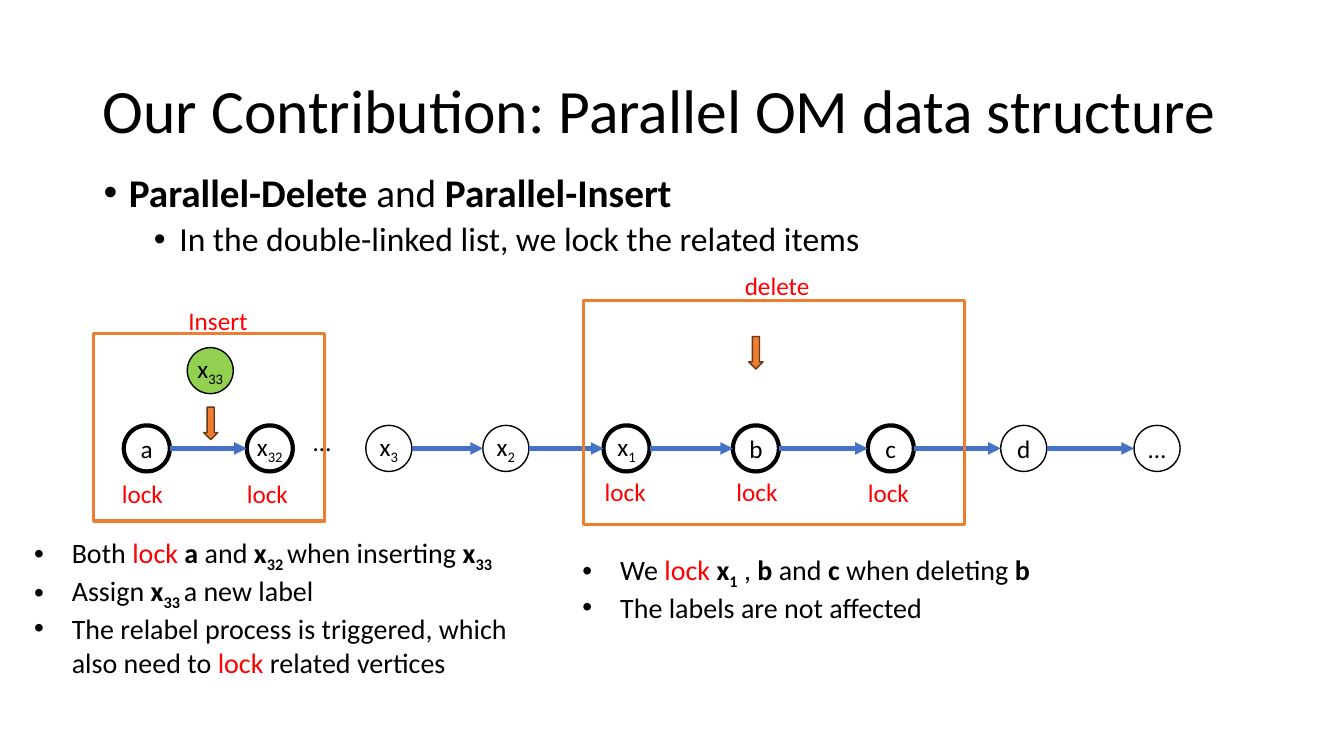
from dataclasses import dataclass
from itertools import pairwise
from typing import NamedTuple

from lxml.etree import SubElement
from pptx import Presentation
from pptx.dml.color import RGBColor as Rgb
from pptx.enum.shapes import MSO_CONNECTOR as Connector, MSO_SHAPE as Shape
from pptx.enum.text import MSO_ANCHOR as Anchor, PP_ALIGN as Align
from pptx.oxml.ns import qn
from pptx.util import Cm, Pt


@dataclass(frozen=True)
class Theme:
    """Colours, font and type sizes."""
    font: str = "Calibri"
    black: Rgb = Rgb(0, 0, 0)
    white: Rgb = Rgb(255, 255, 255)
    red: Rgb = Rgb(255, 0, 0)
    green: Rgb = Rgb(0x92, 0xD0, 0x50)
    blue: Rgb = Rgb(0x44, 0x72, 0xC4)
    orange: Rgb = Rgb(0xED, 0x7D, 0x31)
    brown: Rgb = Rgb(0x68, 0x37, 0x15)
    title: int = 44
    topic: int = 28
    subtopic: int = 24
    note: int = 20
    label: int = 18


THEME = Theme()


class Box(NamedTuple):
    """Left, top, width and height in centimetres."""
    left: float
    top: float
    width: float
    height: float

    def lengths(self) -> tuple:
        return tuple(map(Cm, self))


class Span(NamedTuple):
    """A stretch of text with its own emphasis."""
    text: str
    bold: bool = False
    sub: bool = False
    color: Rgb | None = None


class Line(NamedTuple):
    """A paragraph and its format."""
    spans: list
    size: int
    color: Rgb = THEME.black
    align: Align = Align.LEFT
    bullet: bool = False
    indent: float = 0
    hang: float = 0
    spacing: float = 1
    before: int = 0
    level: int = 0


class Node(NamedTuple):
    """A list item drawn as a circle."""
    left: float
    name: str
    index: str = ""
    locked: bool = False
    top: float = 10.72
    fill: Rgb = THEME.white


class Label(NamedTuple):
    """A short caption at a point."""
    text: str
    left: float
    top: float


DIAMETER = 1.16
NODES = [
    Node(3.12, "a", locked=True),
    Node(6.22, "x", "32", True),
    Node(9.22, "x", "3"),
    Node(12.17, "x", "2"),
    Node(15.21, "x", "1", True),
    Node(18.47, "b", locked=True),
    Node(21.87, "c", locked=True),
    Node(25.22, "d"),
    Node(28.58, "…"),
]
INSERTED = Node(4.72, "x", "33", top=8.76, fill=THEME.green)
LABELS = [
    Label("lock", 2.82, 11.94),
    Label("lock", 5.97, 11.94),
    Label("lock", 14.99, 11.89),
    Label("lock", 18.31, 11.89),
    Label("lock", 21.62, 11.91),
    Label("delete", 18.52, 6.68),
    Label("Insert", 4.5, 7.57),
]
FRAMES = [Box(14.71, 7.57, 9.6, 5.64), Box(2.36, 8.41, 5.82, 4.72)]
POINTERS = [Box(4.9, 10.49, 0.82, 0.36), Box(18.64, 8.71, 0.82, 0.36)]
TOPICS = [
    Line([Span("Parallel-Delete ", True), Span("and"), Span(" Parallel-Insert", True)],
         THEME.topic, bullet=True, indent=0.64, hang=0.64, spacing=0.9),
    Line([Span("In the double-linked list, we lock the related items")],
         THEME.subtopic, bullet=True, indent=1.91, hang=0.64, spacing=0.9, before=5, level=1),
]
LOCK = Span("lock ", color=THEME.red)
INSERT_NOTES = [
    [Span("Both "), LOCK, Span("a", True), Span(" and "), Span("x", True),
     Span("32 ", True, True), Span("when inserting "), Span("x", True), Span("33", True, True)],
    [Span("Assign "), Span("x", True), Span("33 ", True, True), Span("a new label")],
    [Span("The relabel process is triggered, which also need to "),
     Span("lock", color=THEME.red), Span(" related vertices")],
]
DELETE_NOTES = [
    [Span("We "), LOCK, Span("x", True), Span("1", True, True), Span(" , "), Span("b ", True),
     Span("and"), Span(" c ", True), Span("when deleting "), Span("b", True)],
    [Span("The labels are not affected")],
]


def write(frame, lines: list[Line], anchor: Anchor = Anchor.TOP) -> None:
    """Fill a text frame with formatted paragraphs."""
    frame.word_wrap = True
    frame.vertical_anchor = anchor
    for number, line in enumerate(lines):
        para = frame.add_paragraph() if number else frame.paragraphs[0]
        para.level = line.level
        para.alignment = line.align
        para.line_spacing = line.spacing
        para.space_before = Pt(line.before)
        if line.bullet:
            props = para._p.get_or_add_pPr()
            props.set("marL", str(Cm(line.indent)))
            props.set("indent", str(-Cm(line.hang)))
            SubElement(props, qn("a:buFont")).set("typeface", "Arial")
            SubElement(props, qn("a:buChar")).set("char", "•")
        para.font.name = THEME.font
        para.font.size = Pt(line.size)
        para.font.color.rgb = line.color
        for span in line.spans:
            run = para.add_run()
            run.text = span.text
            if span.bold:
                run.font.bold = True
            if span.color is not None:
                run.font.color.rgb = span.color
            if span.sub:
                run._r.get_or_add_rPr().set("baseline", "-25000")


def add_text(page, box: Box, lines: list[Line], anchor: Anchor = Anchor.TOP) -> None:
    """Add a text box."""
    write(page.shapes.add_textbox(*box.lengths()).text_frame, lines, anchor)


def add_notes(page, box: Box, notes: list) -> None:
    """Add a bulleted list of remarks."""
    add_text(page, box, [Line(spans, THEME.note, bullet=True, indent=0.95, hang=0.95)
                         for spans in notes])


def add_shape(page, kind: Shape, box: Box, fill: Rgb | None, line: Rgb, weight: float):
    """Add a flat preset shape."""
    shape = page.shapes.add_shape(kind, *box.lengths())
    shape.shadow.inherit = False
    if fill is None:
        shape.fill.background()
    else:
        shape.fill.solid()
        shape.fill.fore_color.rgb = fill
    shape.line.color.rgb = line
    shape.line.width = Pt(weight)
    return shape


def add_node(page, node: Node) -> None:
    """Add a circle with its name."""
    circle = add_shape(page, Shape.OVAL, Box(node.left, node.top, DIAMETER, DIAMETER),
                       node.fill, THEME.black, 3 if node.locked else 1)
    frame = circle.text_frame
    frame.margin_left = frame.margin_right = frame.margin_top = frame.margin_bottom = 0
    spans = [Span(node.name)] + ([Span(node.index, sub=True)] if node.index else [])
    write(frame, [Line(spans, THEME.label, align=Align.CENTER)], Anchor.MIDDLE)


def add_link(page, start: Node, end: Node) -> None:
    """Add an arrow from one node to the next."""
    middle = Cm(start.top + DIAMETER / 2)
    link = page.shapes.add_connector(Connector.STRAIGHT, Cm(start.left + DIAMETER), middle,
                                     Cm(end.left), middle)
    link.line.color.rgb = THEME.blue
    link.line.width = Pt(3)
    SubElement(link.line._get_or_add_ln(), qn("a:tailEnd")).set("type", "triangle")
    SubElement(link._element.spPr, qn("a:effectLst"))


def main() -> None:
    """Build the slide."""
    deck = Presentation()
    deck.slide_width, deck.slide_height = Cm(33.87), Cm(19.05)
    page = deck.slides.add_slide(deck.slide_layouts[6])
    title = Line([Span("Our Contribution: Parallel OM data structure")], THEME.title, spacing=0.9)
    add_text(page, Box(2.34, 1.02, 29.21, 3.68), [title], Anchor.MIDDLE)
    add_text(page, Box(2.36, 4.24, 29.21, 12.09), TOPICS)
    for node in [*NODES, INSERTED]:
        add_node(page, node)
    for start, end in pairwise(NODES):
        if start.index != "32":
            add_link(page, start, end)
    add_text(page, Box(7.65, 10.62, 0.91, 1.02), [Line([Span("…")], THEME.label)])
    for box in FRAMES:
        add_shape(page, Shape.RECTANGLE, box, None, THEME.orange, 2.25)
    for box in POINTERS:
        add_shape(page, Shape.RIGHT_ARROW, box, THEME.orange, THEME.brown, 1).rotation = 90
    for label in LABELS:
        add_text(page, Box(label.left, label.top, 2.21, 1.02),
                 [Line([Span(label.text)], THEME.label, THEME.red)])
    add_notes(page, Box(0.61, 13.36, 13.16, 3.68), INSERT_NOTES)
    add_notes(page, Box(14.43, 13.79, 12.22, 1.96), DELETE_NOTES)
    deck.save("out.pptx")


if __name__ == "__main__":
    main()
